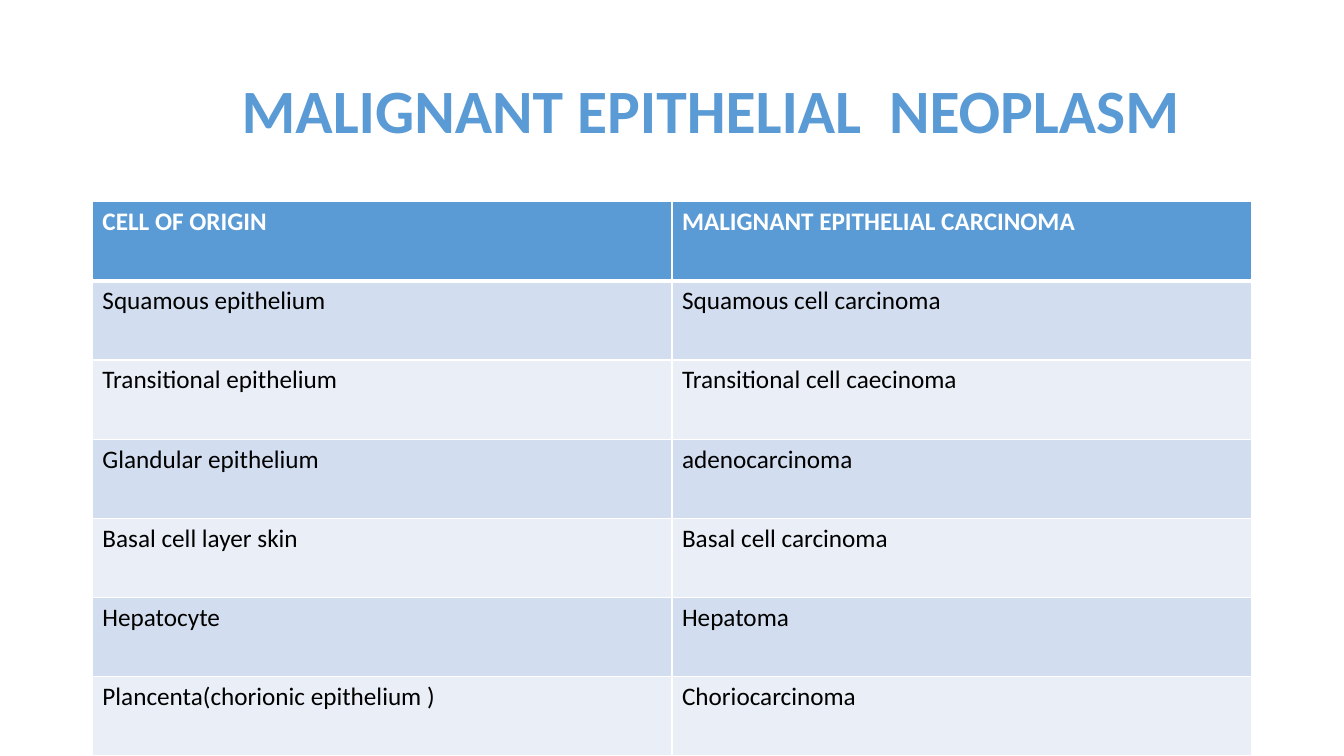
from lxml import etree
from pptx import Presentation
from pptx import util as u
from pptx.dml.color import RGBColor
from pptx.enum import text
from pptx.oxml import ns

Pt = u.Pt
ACCENT, WHITE, BLACK = "5B9BD5", "FFFFFF", "000000"
BANDS = ["EAEFF7", "D2DEEF"]
LEFT, WIDTH = 66, 828
TABLE_TOP, TABLE_HEIGHT = 144, 396
TUMOURS = [
    ("CELL OF ORIGIN", "MALIGNANT EPITHELIAL CARCINOMA"),
    ("Squamous epithelium", "Squamous cell carcinoma"),
    ("Transitional epithelium", "Transitional cell caecinoma"),
    ("Glandular epithelium", "adenocarcinoma"),
    ("Basal cell layer skin", "Basal cell carcinoma"),
    ("Hepatocyte", "Hepatoma"),
    ("Plancenta(chorionic epithelium )", "Choriocarcinoma"),
]


def add_span(para, words, size, color, bold):
    span = para.add_run()
    span.text = words
    span.font.name = "Calibri"
    span.font.size = Pt(size)
    span.font.bold = bold
    span.font.color.rgb = RGBColor.from_string(color)


def add_border(cell, side, width):
    """Draw a white line on one side (L, R, T or B) of a cell."""
    line = etree.SubElement(cell._tc.get_or_add_tcPr(), ns.qn(f"a:ln{side}"), w=str(Pt(width)))
    fill = etree.SubElement(line, ns.qn("a:solidFill"))
    etree.SubElement(fill, ns.qn("a:srgbClr"), val=WHITE)


deck = Presentation()
deck.slide_width, deck.slide_height = Pt(960), Pt(540)
page = deck.slides.add_slide(deck.slide_layouts[6])

# Title, set in from the left edge of the table
title = page.shapes.add_textbox(Pt(LEFT), Pt(28.75), Pt(WIDTH), Pt(104.4))
frame = title.text_frame
frame.word_wrap = True
frame.vertical_anchor = text.MSO_ANCHOR.MIDDLE
frame.margin_left = Pt(106.6)
heading = frame.paragraphs[0]
heading.line_spacing = 0.9
add_span(heading, "MALIGNANT EPITHELIAL  NEOPLASM", 44, ACCENT, True)

# Table with a header row and banded rows
table = page.shapes.add_table(
    len(TUMOURS), 2, Pt(LEFT), Pt(TABLE_TOP), Pt(WIDTH), Pt(TABLE_HEIGHT)
).table
for row, names in enumerate(TUMOURS):
    table.rows[row].height = Pt(TABLE_HEIGHT / len(TUMOURS))
    header = row == 0
    for column, name in enumerate(names):
        cell = table.cell(row, column)
        for side in "LRTB":
            under_header = (row, side) in [(0, "B"), (1, "T")]
            add_border(cell, side, 3 if under_header else 1)
        cell.fill.solid()
        cell.fill.fore_color.rgb = RGBColor.from_string(ACCENT if header else BANDS[row % 2])
        add_span(cell.text_frame.paragraphs[0], name, 18, WHITE if header else BLACK, header)

deck.save("out.pptx")
